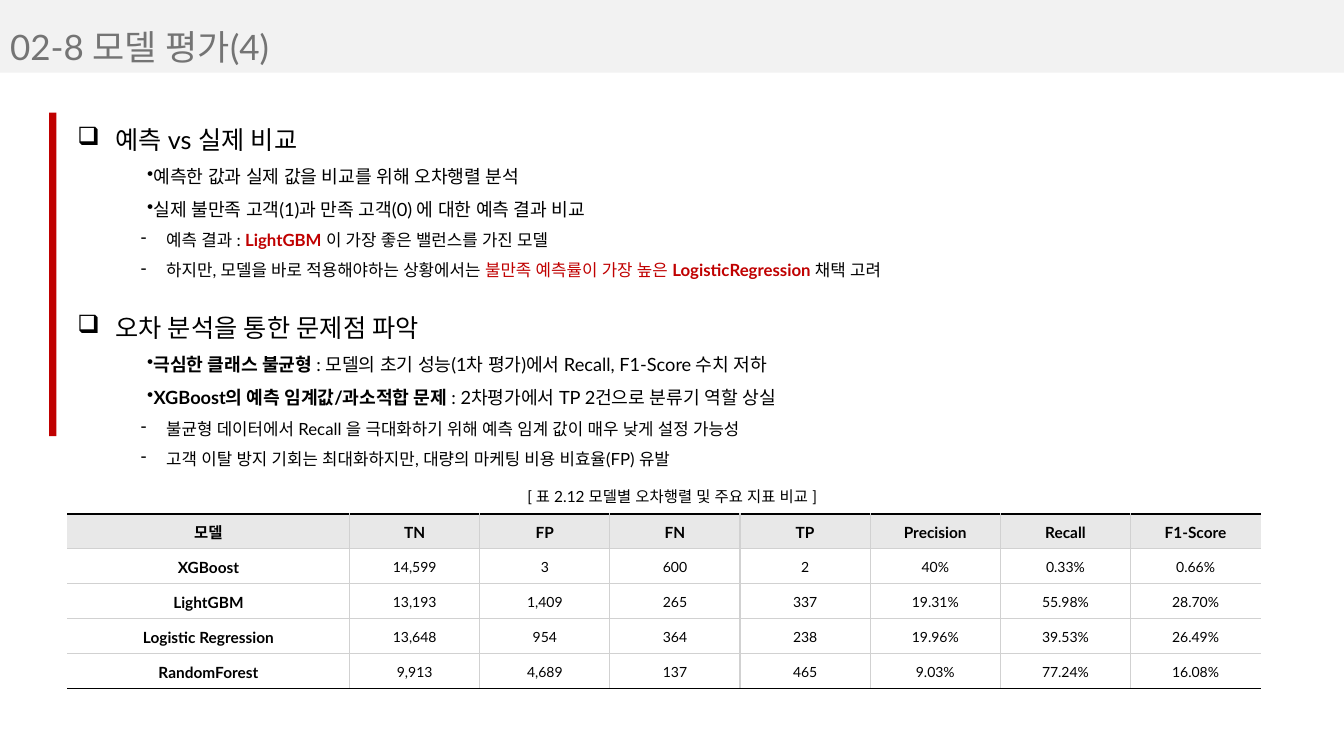
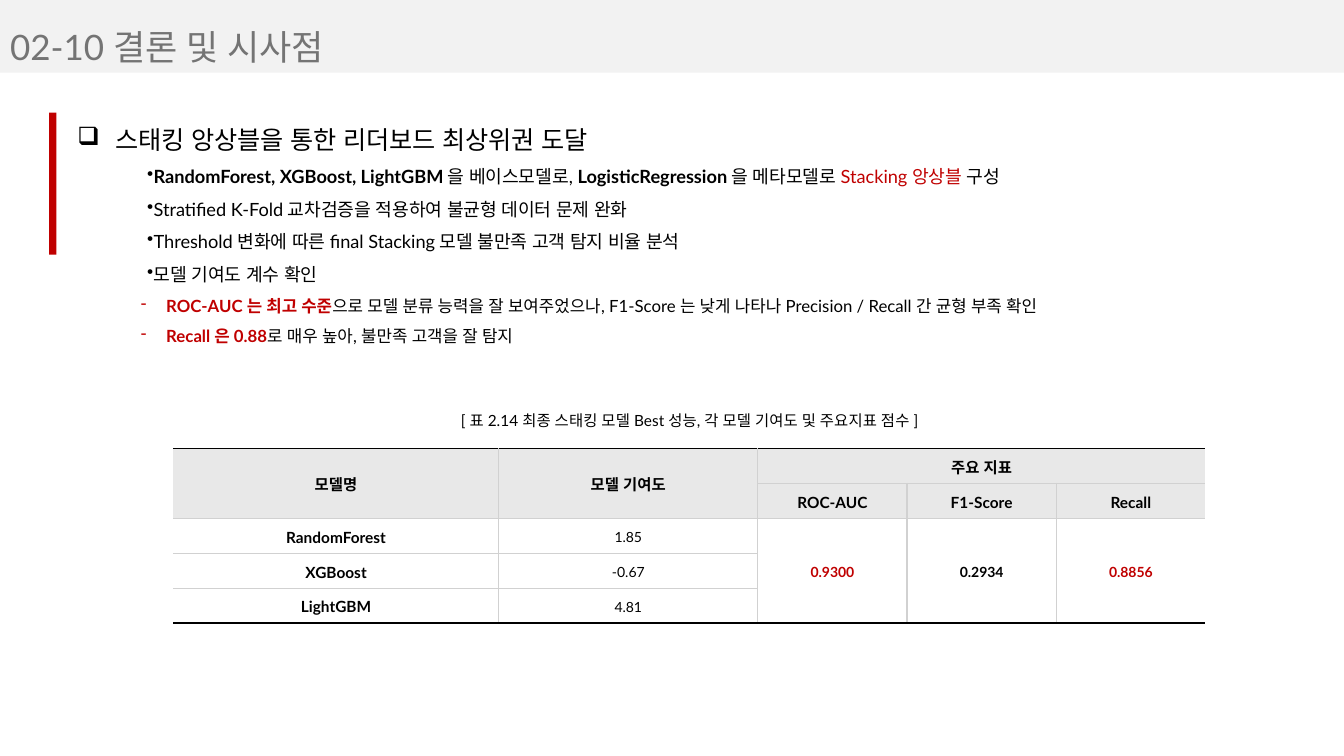
from lxml.etree import SubElement as Sub
from pptx import Presentation as Deck
from pptx.dml.color import RGBColor as RGB
from pptx.enum.shapes import MSO_SHAPE as Form
from pptx.enum.text import MSO_ANCHOR as Anchor, MSO_AUTO_SIZE as Auto, PP_ALIGN as Align
from pptx.oxml.ns import qn
from pptx.util import Cm, Pt

BLACK = RGB(0x00, 0x00, 0x00)
GREY = RGB(0x74, 0x74, 0x74)
RED = RGB(0xC0, 0x00, 0x00)
BAND = RGB(0xF2, 0xF2, 0xF2)
HEAD = RGB(0xE8, 0xE8, 0xE8)
RULE = RGB(0xD1, 0xD1, 0xD1)
FACE = "Lato"
WIDE, HIGH = Cm(33.87), Cm(19.05)

# Outline levels: level, left margin, first-line indent, bullet, size
TOP = (0, Cm(0.79), Cm(-0.79), "❑", 18)
DOT = (2, Cm(1.12), Cm(0.64), "•", 13)
DASH = (3, Cm(2.24), Cm(-0.64), "-", 12)


class Maker:
    """Holds the style and the current slide."""

    def __init__(self):
        self.deck = Deck()
        self.deck.slide_width, self.deck.slide_height = WIDE, HIGH
        self.slide = None

    def font(self, para, size, color=BLACK, bold=False):
        font = para.font
        font.name, font.size, font.bold = FACE, Pt(size), bold
        font.color.rgb = color
        Sub(font._rPr, qn("a:ea"), typeface=FACE)

    def rect(self, x, y, w, h, color):
        box = self.slide.shapes.add_shape(Form.RECTANGLE, x, y, w, h)
        box.shadow.inherit = False
        box.fill.solid()
        box.fill.fore_color.rgb = color
        box.line.fill.background()
        return box

    def page(self, text):
        """Start a slide with its title band and title."""
        self.slide = self.deck.slides.add_slide(self.deck.slide_layouts[5])
        band = self.rect(0, 0, WIDE, Cm(1.83), BAND)
        self.slide.shapes._spTree.insert(2, band._element)
        title = self.slide.shapes.title
        title.left, title.top = 0, Cm(0.51)
        title.width, title.height = Cm(20.04), Cm(1.32)
        frame = title.text_frame
        frame.text = text
        frame.auto_size, frame.vertical_anchor = Auto.NONE, Anchor.TOP
        para = frame.paragraphs[0]
        para.alignment = Align.LEFT
        self.font(para, 25, GREY)

    def bar(self, h):
        self.rect(Cm(1.24), Cm(2.84), Cm(0.18), h, RED)

    def frame(self, x, y, w, h):
        frame = self.slide.shapes.add_textbox(x, y, w, h).text_frame
        frame.word_wrap = True
        return frame

    def list(self, y, h, items):
        """Each item is a level and its runs; a run is text or (text, marks)."""
        frame = self.frame(Cm(1.7), y, Cm(30.05), h)
        for i, (kind, *runs) in enumerate(items):
            para = frame.add_paragraph() if i else frame.paragraphs[0]
            level, left, indent, mark, size = kind
            para.level, para.line_spacing = level, 1.5
            prop = para._p.get_or_add_pPr()
            prop.set("marL", str(left))
            prop.set("indent", str(indent))
            Sub(prop, qn("a:buChar"), char=mark)
            self.font(para, size)
            for part in runs:
                text, marks = (part, "") if isinstance(part, str) else part
                run = para.add_run()
                run.text = text
                if "b" in marks:
                    run.font.bold = True
                if "r" in marks:
                    run.font.color.rgb = RED

    def label(self, x, y, text):
        para = self.frame(x, y, Cm(14.38), Cm(0.74)).paragraphs[0]
        para.text, para.alignment = text, Align.CENTER
        self.font(para, 11)

    def edge(self, cell, side, color):
        line = Sub(cell._tc.get_or_add_tcPr(), qn("a:ln" + side), w=str(Pt(1)))
        if color is None:
            Sub(line, qn("a:noFill"))
        else:
            fill = Sub(line, qn("a:solidFill"))
            Sub(fill, qn("a:srgbClr"), val=str(color))

    def table(self, x, y, cols, rows, heads=1, spans=()):
        """Ruled table; spans lists (row, column, last row, last column)."""
        high = Cm(0.88)
        table = self.slide.shapes.add_table(
            len(rows), len(cols), x, y, sum(cols), high * len(rows)).table
        table.first_row = table.horz_banding = False
        for col, wide in zip(table.columns, cols):
            col.width = wide
        for r, c, end, last in spans:
            table.cell(r, c).merge(table.cell(end, last))
        for r, row in enumerate(rows):
            table.rows[r].height = high
            for c, item in enumerate(row):
                self.cell(table, r, c, item, r < heads)

    def cell(self, table, r, c, item, head):
        cell = table.cell(r, c)
        down = r + (cell.span_height if cell.is_merge_origin else 1)
        right = c + (cell.span_width if cell.is_merge_origin else 1)
        # Borders: black above and below, open at both sides
        self.edge(cell, "L", RULE if c else None)
        self.edge(cell, "R", RULE if right < len(table.columns) else None)
        self.edge(cell, "T", RULE if r else BLACK)
        self.edge(cell, "B", RULE if down < len(table.rows) else BLACK)
        if head:
            cell.fill.solid()
            cell.fill.fore_color.rgb = HEAD
        else:
            cell.fill.background()
        cell.vertical_anchor = Anchor.MIDDLE
        cell.margin_left = cell.margin_right = Cm(0.1)
        cell.margin_top = cell.margin_bottom = 0
        if item is None:
            return
        text, marks = (item, "") if isinstance(item, str) else item
        para = cell.text_frame.paragraphs[0]
        para.text, para.alignment = text, Align.CENTER
        para.line_spacing, para.space_after = 1.15, Pt(8)
        main = head or c == 0
        self.font(para, 11 if main else 10,
                  RED if "r" in marks else BLACK, main or "b" in marks)


def main():
    make = Maker()

    # Model evaluation
    make.page("02-8 모델 평가(4)")
    make.list(Cm(2.62), Cm(4.52), [
        (TOP, " 예측 vs 실제 비교"),
        (DOT, "예측한 값과 실제 값을 비교를 위해 오차행렬 분석"),
        (DOT, "실제 불만족 고객(1)과 만족 고객(0) 에 대한 예측 결과 비교"),
        (DASH, "예측 결과 : ", ("LightGBM", "br"), " 이 가장 좋은 밸런스를 가진 모델"),
        (DASH, "하지만, 모델을 바로 적용해야하는 상황에서는 ",
         ("불만족 예측률이 가장 높은 ", "r"), ("LogisticRegression ", "br"), "채택 고려"),
    ])
    make.bar(Cm(8.15))
    make.label(Cm(9.75), Cm(12.14), "[ 표 2.12 모델별 오차행렬 및 주요 지표 비교 ]")
    make.table(Cm(1.7), Cm(12.95), [Cm(7.11)] + [Cm(3.28)] * 7, [
        ("모델", "TN", "FP", "FN", "TP", "Precision", "Recall", "F1-Score"),
        ("XGBoost", "14,599", "3", "600", "2", "40%", "0.33%", "0.66%"),
        ("LightGBM", "13,193", "1,409", "265", "337", "19.31%", "55.98%", "28.70%"),
        ("Logistic Regression", "13,648", "954", "364", "238", "19.96%", "39.53%", "26.49%"),
        ("RandomForest", "9,913", "4,689", "137", "465", "9.03%", "77.24%", "16.08%"),
    ])
    make.list(Cm(7.37), Cm(4.52), [
        (TOP, " 오차 분석을 통한 문제점 파악"),
        (DOT, ("극심한 클래스 불균형 ", "b"),
         ": 모델의 초기 성능(1차 평가)에서 Recall, F1-Score 수치 저하"),
        (DOT, ("XGBoost의 예측 임계값/과소적합 문제 ", "b"),
         ": 2차평가에서 TP 2건으로 분류기 역할 상실"),
        (DASH, "불균형 데이터에서 Recall 을 극대화하기 위해 예측 임계 값이 매우 낮게 설정 가능성"),
        (DASH, "고객 이탈 방지 기회는 최대화하지만, 대량의 마케팅 비용 비효율(FP) 유발"),
    ])

    # Conclusion
    make.page("02-10 결론 및 시사점")
    make.list(Cm(2.62), Cm(6.2), [
        (TOP, " 스태킹 앙상블을 통한 리더보드 최상위권 도달"),
        (DOT, ("RandomForest, XGBoost, LightGBM ", "b"), "을 베이스모델로, ",
         ("LogisticRegression ", "b"), "을 메타모델로 ", ("Stacking 앙상블 ", "r"), "구성"),
        (DOT, "Stratified K-Fold 교차검증을 적용하여 불균형 데이터 문제 완화"),
        (DOT, "Threshold 변화에 따른 final Stacking 모델 불만족 고객 탐지 비율 분석"),
        (DOT, "모델 기여도 계수 확인"),
        (DASH, ("ROC-AUC 는 최고 수준", "br"),
         "으로 모델 분류 능력을 잘 보여주었으나, F1-Score 는 낮게 나타나 "
         "Precision / Recall 간 균형 부족 확인"),
        (DASH, ("Recall 은 0.88", "br"), "로 매우 높아, 불만족 고객을 잘 탐지"),
    ])
    make.bar(Cm(3.58))
    make.table(Cm(4.37), Cm(11.3), [Cm(8.2), Cm(6.53)] + [Cm(3.76)] * 3, [
        ("모델명", "모델 기여도", "주요 지표", None, None),
        (None, None, "ROC-AUC", "F1-Score", "Recall"),
        ("RandomForest", "1.85", ("0.9300", "br"), ("0.2934", "b"), ("0.8856", "br")),
        ("XGBoost", "-0.67", None, None, None),
        ("LightGBM", "4.81", None, None, None),
    ], heads=2, spans=[(0, 0, 1, 0), (0, 1, 1, 1), (0, 2, 0, 4)]
        + [(2, c, 4, c) for c in (2, 3, 4)])
    make.label(Cm(10.19), Cm(10.24), "[ 표 2.14 최종 스태킹 모델 Best 성능, 각 모델 기여도 및 주요지표 점수 ]")

    make.deck.save("out.pptx")


if __name__ == "__main__":
    main()
